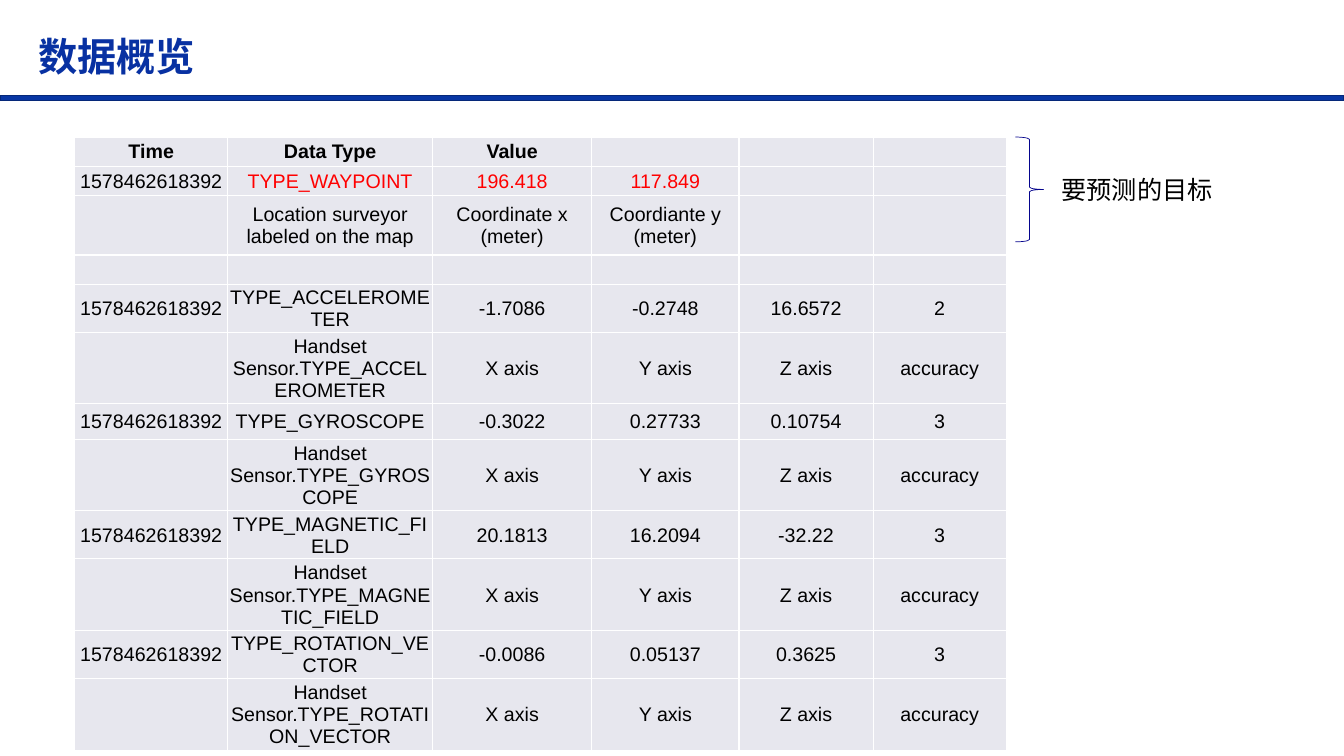
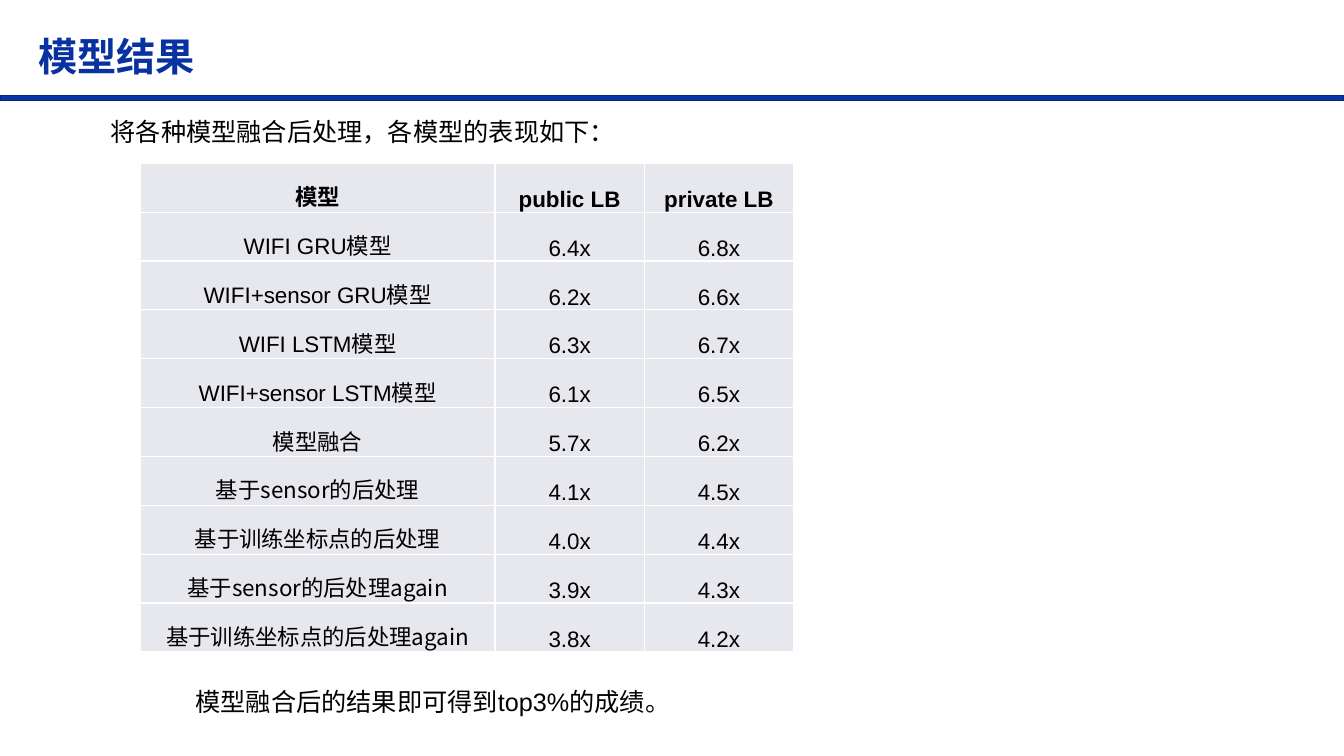
from dataclasses import dataclass

from lxml.etree import SubElement
from pptx import Presentation
from pptx.dml.color import RGBColor
from pptx.enum.shapes import MSO_SHAPE
from pptx.enum.text import MSO_ANCHOR, PP_ALIGN
from pptx.oxml.ns import qn
from pptx.util import Emu, Pt

TIME = "1578462618392"
SENSORS = [
    ("TYPE_ACCELEROMETER", "-1.7086", "-0.2748", "16.6572", "2"),
    ("TYPE_GYROSCOPE", "-0.3022", "0.27733", "0.10754", "3"),
    ("TYPE_MAGNETIC_FIELD", "20.1813", "16.2094", "-32.22", "3"),
    ("TYPE_ROTATION_VECTOR", "-0.0086", "0.05137", "0.3625", "3"),
]
AXES = ("X axis", "Y axis", "Z axis", "accuracy")
WAYPOINT_ROWS = [
    ("Time", "Data Type", "Value", "", "", ""),
    (TIME, "TYPE_WAYPOINT", "196.418", "117.849", "", ""),
    ("", "Location surveyor labeled on the map", "Coordinate x (meter)",
     "Coordiante y (meter)", "", ""),
    ("",) * 6,
]
SENSOR_ROWS = [
    row
    for sensor in SENSORS
    for row in ((TIME, *sensor), ("", f"Handset Sensor.{sensor[0]}", *AXES))
]
SCORES = [
    ("模型", "public LB", "private LB"),
    ("WIFI GRU模型", "6.4x", "6.8x"),
    ("WIFI+sensor GRU模型", "6.2x", "6.6x"),
    ("WIFI LSTM模型", "6.3x", "6.7x"),
    ("WIFI+sensor LSTM模型", "6.1x", "6.5x"),
    ("模型融合", "5.7x", "6.2x"),
    ("基于sensor的后处理", "4.1x", "4.5x"),
    ("基于训练坐标点的后处理", "4.0x", "4.4x"),
    ("基于sensor的后处理again", "3.9x", "4.3x"),
    ("基于训练坐标点的后处理again", "3.8x", "4.2x"),
]


@dataclass(frozen=True)
class Theme:
    title: str = "0831A2"
    band: str = "0836A4"
    band_edge: str = "062879"
    brace: str = "05048D"
    ink: str = "000000"
    target: str = "FF0000"
    cell: str = "E7E7EE"
    border: str = "FFFFFF"
    latin: str = "Arial"
    chinese: str = "Noto Sans CJK SC"
    title_size: int = 28
    body_size: int = 18
    score_size: int = 16
    data_size: int = 14


THEME = Theme()


def px(value):
    return Emu(value * 9144)


def rgb(color):
    return RGBColor.from_string(color)


def write(paragraph, text, size, color=THEME.ink, bold=False, name=THEME.latin):
    paragraph.text = text
    font = paragraph.font
    font.size, font.bold, font.name = Pt(size), bold, name
    font.color.rgb = rgb(color)
    defaults = paragraph._p.pPr.find(qn("a:defRPr"))
    SubElement(defaults, qn("a:ea"), typeface=THEME.chinese)


def add_text(page, area, text, size=THEME.body_size, **style):
    frame = page.shapes.add_textbox(*map(px, area)).text_frame
    frame.word_wrap = True
    write(frame.paragraphs[0], text, size, **style)
    return frame


def add_outline(page, kind, area, color, width):
    shape = page.shapes.add_shape(kind, *map(px, area))
    shape.shadow.inherit = False
    shape.fill.background()
    shape.line.color.rgb = rgb(color)
    shape.line.width = Pt(width)
    return shape


def add_page(deck, title):
    page = deck.slides.add_slide(deck.slide_layouts[6])
    band = add_outline(page, MSO_SHAPE.RECTANGLE, (0, 95, 1333, 5), THEME.band_edge, 1)
    band.fill.solid()
    band.fill.fore_color.rgb = rgb(THEME.band)
    frame = add_text(page, (28, 16, 1025, 68), title, THEME.title_size,
                     color=THEME.title, bold=True)
    frame.vertical_anchor = MSO_ANCHOR.BOTTOM
    frame.paragraphs[0].line_spacing = 0.9
    return page


def style_cell(cell, anchor):
    cell.margin_left = cell.margin_right = cell.margin_top = px(1)
    cell.margin_bottom = 0
    cell.vertical_anchor = anchor
    properties = cell._tc.get_or_add_tcPr()
    for side in ("lnL", "lnR", "lnT", "lnB"):
        line = SubElement(properties, qn(f"a:{side}"), w=str(Pt(1)))
        fill = SubElement(line, qn("a:solidFill"))
        SubElement(fill, qn("a:srgbClr"), val=THEME.border)
    cell.fill.solid()
    cell.fill.fore_color.rgb = rgb(THEME.cell)


def add_grid(page, corner, widths, heights, rows, size, anchor, targets=()):
    area = (*corner, sum(widths), sum(heights))
    table = page.shapes.add_table(len(rows), len(widths), *map(px, area)).table
    table.first_row = table.horz_banding = False
    for column, width in zip(table.columns, widths):
        column.width = px(width)
    for r, (row, height) in enumerate(zip(rows, heights)):
        table.rows[r].height = px(height)
        for c, text in enumerate(row):
            cell = table.cell(r, c)
            style_cell(cell, anchor)
            paragraph = cell.text_frame.paragraphs[0]
            paragraph.alignment = PP_ALIGN.CENTER
            write(
                paragraph, text, size,
                color=THEME.target if (r, c) in targets else THEME.ink,
                bold=r == 0,
                name=THEME.latin if text.isascii() or text[0].isascii() else THEME.chinese,
            )


def add_data_page(deck):
    page = add_page(deck, "数据概览")
    add_grid(
        page, (74, 136), (152, 203, 158, 146, 133, 132),
        (29, 29, 59, 29, 44, 66, 35, 66, 44, 66, 44, 66),
        WAYPOINT_ROWS + SENSOR_ROWS, THEME.data_size, MSO_ANCHOR.MIDDLE,
        targets={(1, 1), (1, 2), (1, 3)},
    )
    add_text(page, (1043, 168, 205, 40), "要预测的目标")
    add_outline(page, MSO_SHAPE.RIGHT_BRACE, (1007, 136, 28, 104), THEME.brace, 0.5)


def add_result_page(deck):
    page = add_page(deck, "模型结果")
    add_text(page, (100, 110, 540, 40), "将各种模型融合后处理，各模型的表现如下：")
    add_grid(page, (139, 162), (352, 148, 148), [48.5] * len(SCORES),
             SCORES, THEME.score_size, MSO_ANCHOR.BOTTOM)
    add_text(page, (184, 676, 520, 40), "模型融合后的结果即可得到top3%的成绩。")


def main():
    deck = Presentation()
    deck.slide_width, deck.slide_height = px(1333), px(750)
    add_data_page(deck)
    add_result_page(deck)
    deck.save("out.pptx")


if __name__ == "__main__":
    main()
